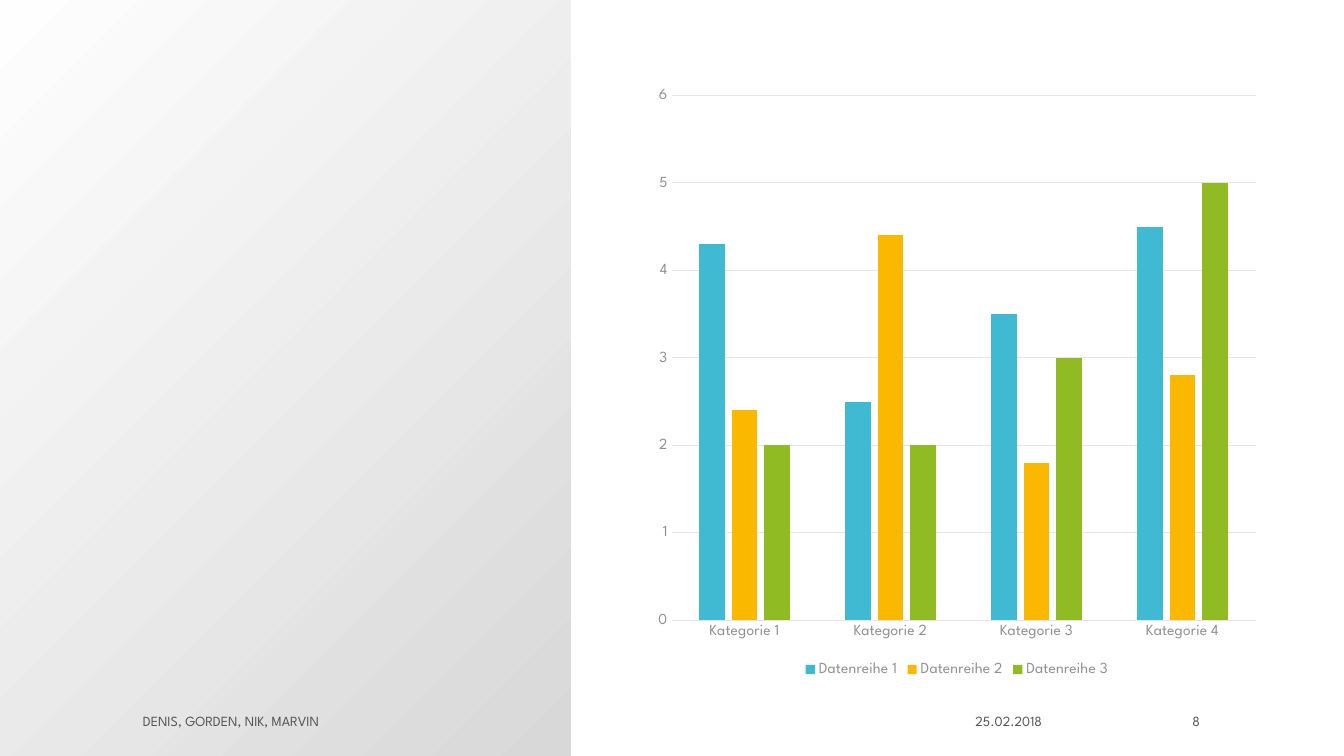
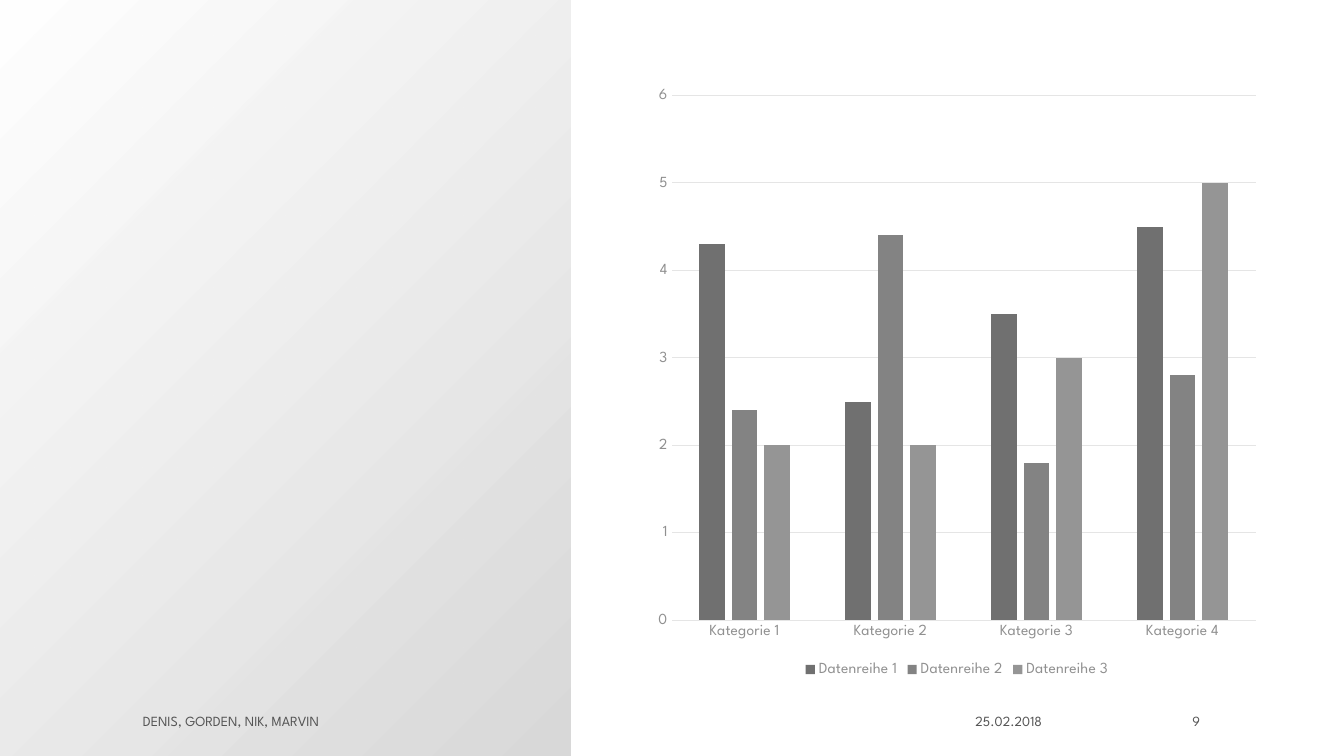
"""Build two chart slides with a shared gradient panel and footer."""
from dataclasses import dataclass

from lxml import etree
from pptx import Presentation
from pptx import util as u
from pptx.chart.data import CategoryChartData
from pptx.dml.color import RGBColor
from pptx.enum import chart as charts, shapes, text
from pptx.oxml import parse_xml
from pptx.oxml.ns import nsdecls, qn

WIDTH, HEIGHT = 1344, 756
SCALE = 12192000 / WIDTH


@dataclass(frozen=True)
class Theme:
    """Colours, font and type sizes of all slides."""
    font: str = "League Spartan"
    ink: str = "545454"
    label: str = "909090"
    grid: str = "E5E5E5"
    panel_dark: str = "D9D9D9"
    panel_light: str = "FFFFFF"
    footer_size: int = 10
    label_size: int = 11
    colourful: tuple = ("40BAD2", "FAB900", "90BB23")
    greys: tuple = ("707070", "838383", "959595")


THEME = Theme()
PANEL = (0, 0, 571, HEIGHT)
CHART = (646, 76, 622, 605)
FOOTER_TOP, FOOTER_HEIGHT = 711, 20
DATE = "25.02.2018"
AUTHORS = "DENIS, GORDEN, NIK, MARVIN"
CATEGORIES = [f"Kategorie {number}" for number in range(1, 5)]
SERIES = {
    "Datenreihe 1": (4.3, 2.5, 3.5, 4.5),
    "Datenreihe 2": (2.4, 4.4, 1.8, 2.8),
    "Datenreihe 3": (2, 2, 3, 5),
}
SLIDES = ((8, THEME.colourful), (9, THEME.greys))


def place(*pixels):
    """Turn pixel lengths into EMU."""
    return [u.Emu(round(pixel * SCALE)) for pixel in pixels]


def apply(target, values):
    """Set each named attribute of the target."""
    for name, value in values.items():
        setattr(target, name, value)


def style_font(font, size, colour):
    """Give a font the theme face, a size and a colour."""
    apply(font, {"name": THEME.font, "size": u.Pt(size), "bold": False})
    font.color.rgb = RGBColor.from_string(colour)


def add_panel(slide):
    """Add the left panel, shaded from its lower right corner."""
    panel = slide.shapes.add_shape(shapes.MSO_SHAPE.RECTANGLE, *place(*PANEL))
    panel.shadow.inherit = False
    panel.line.fill.background()
    panel.fill.gradient()
    gradient = panel._element.spPr.find(qn("a:gradFill"))
    shading = parse_xml(
        f'<a:gradFill {nsdecls("a")} rotWithShape="1"><a:gsLst>'
        f'<a:gs pos="0"><a:srgbClr val="{THEME.panel_dark}"/></a:gs>'
        f'<a:gs pos="100000"><a:srgbClr val="{THEME.panel_light}">'
        '<a:alpha val="89000"/></a:srgbClr></a:gs></a:gsLst>'
        '<a:path path="circle"><a:fillToRect l="100000" t="100000"/></a:path>'
        '<a:tileRect r="-100000" b="-100000"/></a:gradFill>')
    gradient.getparent().replace(gradient, shading)


def style_axis(axis):
    """Leave only the labels of an axis."""
    apply(axis, {"major_tick_mark": charts.XL_TICK_MARK.NONE,
                 "minor_tick_mark": charts.XL_TICK_MARK.NONE})
    axis.format.line.fill.background()
    style_font(axis.tick_labels.font, THEME.label_size, THEME.label)


def add_column_chart(slide, colours):
    """Add the clustered column chart with one colour per series."""
    data = CategoryChartData()
    data.categories = CATEGORIES
    for name, values in SERIES.items():
        data.add_series(name, values)
    chart = slide.shapes.add_chart(
        charts.XL_CHART_TYPE.COLUMN_CLUSTERED, *place(*CHART), data).chart
    apply(chart, {"has_title": False, "has_legend": True})
    style_font(chart.font, THEME.footer_size, THEME.ink)
    apply(chart.legend, {"position": charts.XL_LEGEND_POSITION.BOTTOM,
                         "include_in_layout": False})
    style_font(chart.legend.font, THEME.label_size, THEME.label)
    style_axis(chart.category_axis)
    style_axis(chart.value_axis)
    apply(chart.value_axis, {"minimum_scale": 0, "maximum_scale": 6,
                             "major_unit": 1, "has_major_gridlines": True})
    grid = chart.value_axis.major_gridlines.format.line
    grid.width = u.Pt(0.75)
    grid.color.rgb = RGBColor.from_string(THEME.grid)
    plot = chart.plots[0]
    apply(plot, {"gap_width": 219, "overlap": -27, "vary_by_categories": False})
    for series, colour in zip(plot.series, colours):
        series.format.fill.solid()
        series.format.fill.fore_color.rgb = RGBColor.from_string(colour)


def add_footer_text(slide, left, width, words, alignment):
    """Add one text on the footer line."""
    box = slide.shapes.add_textbox(
        *place(left, FOOTER_TOP, width, FOOTER_HEIGHT))
    apply(box.text_frame, {"word_wrap": True,
                           "vertical_anchor": text.MSO_ANCHOR.MIDDLE})
    paragraph = box.text_frame.paragraphs[0]
    paragraph.alignment = alignment
    run = paragraph.add_run()
    run.text = words
    style_font(run.font, THEME.footer_size, THEME.ink)


def add_footer(slide, number):
    """Add date, authors and slide number."""
    add_footer_text(slide, 898, 154, DATE, text.PP_ALIGN.RIGHT)
    add_footer_text(slide, 133, 732, AUTHORS, text.PP_ALIGN.LEFT)
    add_footer_text(slide, 1084, 126, str(number), text.PP_ALIGN.RIGHT)


def main():
    """Build and save the presentation."""
    presentation = Presentation()
    width, height = place(WIDTH, HEIGHT)
    apply(presentation, {"slide_width": width, "slide_height": height})
    for number, colours in SLIDES:
        slide = presentation.slides.add_slide(presentation.slide_layouts[6])
        add_panel(slide)
        add_column_chart(slide, colours)
        add_footer(slide, number)
    presentation.save("out.pptx")


main()
